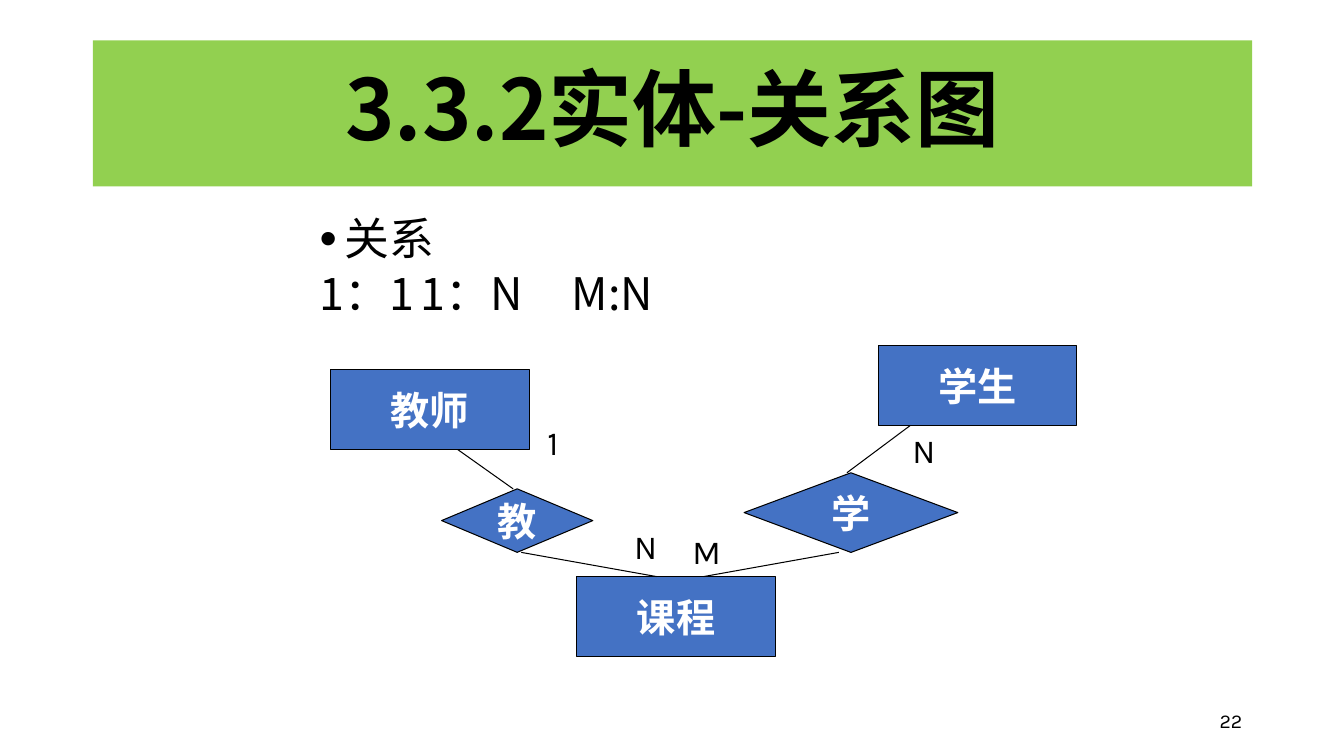
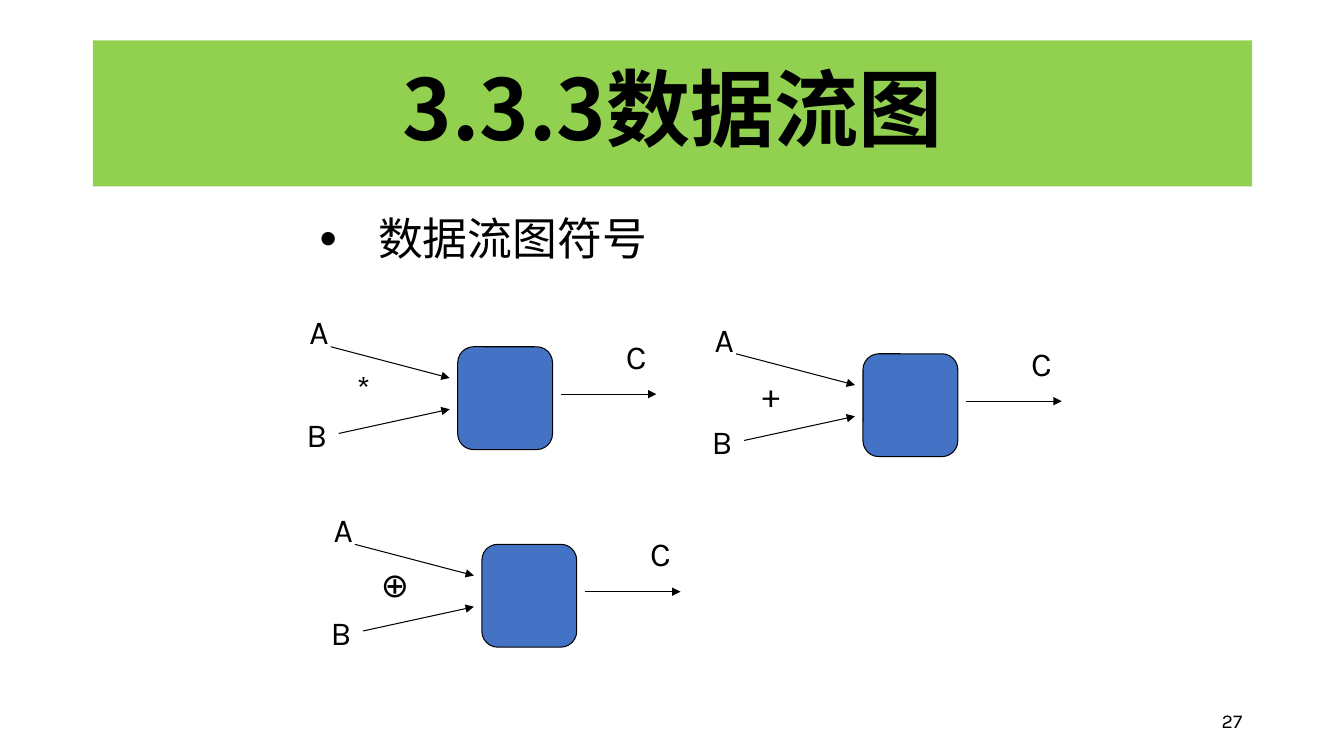
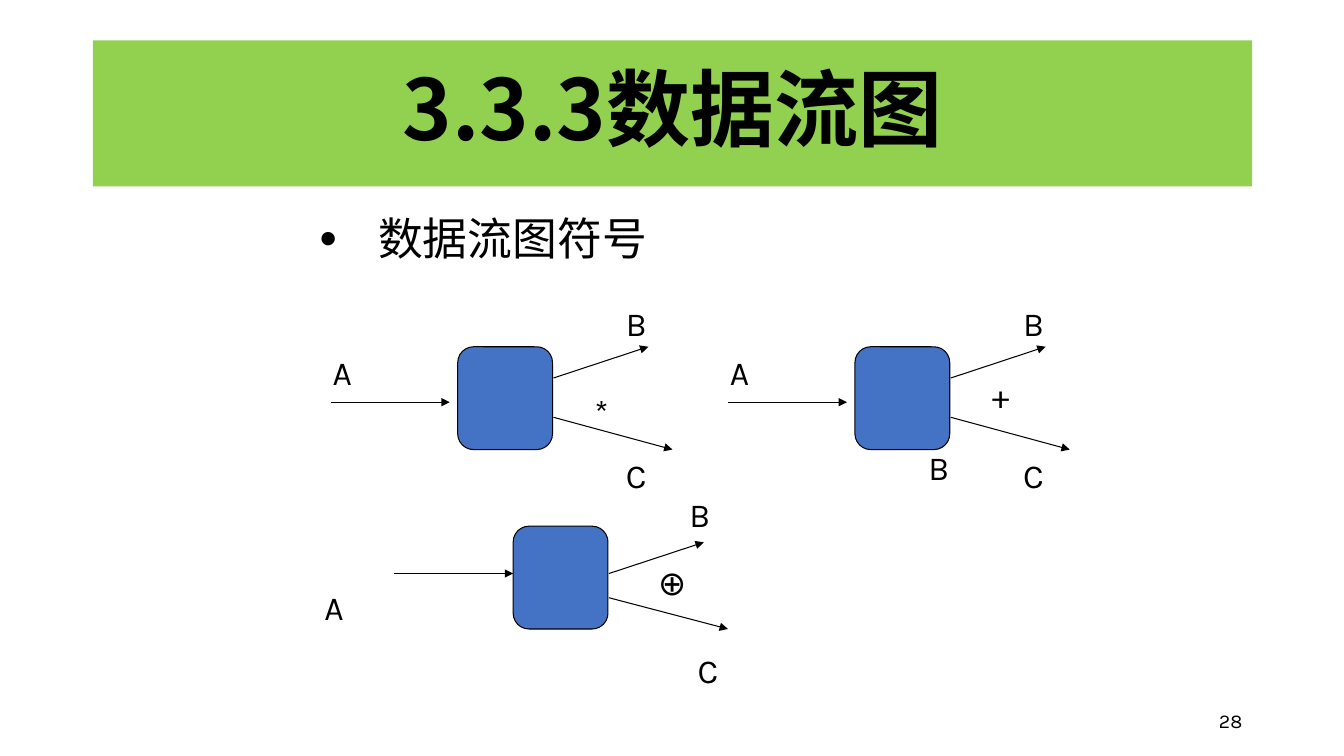
from dataclasses import dataclass, replace

from lxml.etree import SubElement
from pptx import Presentation
from pptx.dml.color import RGBColor
from pptx.enum.shapes import MSO_CONNECTOR, MSO_SHAPE
from pptx.enum.text import MSO_ANCHOR, MSO_AUTO_SIZE, PP_ALIGN
from pptx.oxml.ns import qn
from pptx.util import Inches, Pt


@dataclass(frozen=True)
class Theme:
    band: RGBColor = RGBColor(0x92, 0xD0, 0x50)
    node: RGBColor = RGBColor(0x44, 0x72, 0xC4)
    ink: RGBColor = RGBColor(0, 0, 0)
    paper: RGBColor = RGBColor(255, 255, 255)
    latin: str = "Karla"
    chinese: str = "Noto Sans CJK SC"
    title_size: int = 60
    body_size: int = 32
    node_size: int = 28
    label_size: int = 24
    number_size: int = 14
    line_width: float = 0.75


@dataclass(frozen=True)
class Gate:
    arrows: tuple
    labels: tuple
    sign: tuple


THEME = Theme()
GATE_SIZE = (0.94, 1.02)
NODE_SIZE = (1.97, 0.79)

MERGE = Gate(
    arrows=((-1.26, 0, -0.08, 0.31), (-1.18, 0.86, -0.08, 0.62), (1.02, 0.47, 1.97, 0.47)),
    labels=(("A", -1.57, -0.4), ("B", -1.6, 0.62), ("C", 1.57, -0.16)),
    sign=(-1.1, 0.15),
)
SPLIT = Gate(
    arrows=((-1.26, 0.55, -0.08, 0.55), (0.95, 0.7, 2.13, 1.02), (0.95, 0.31, 1.89, 0)),
    labels=(("A", -1.34, 0), ("B", 1.57, -0.48), ("C", 1.57, 1.02)),
    sign=(1.26, 0.39),
)
SPLIT_HIGH_SIGN = replace(SPLIT, sign=(1.26, 0.23))
SPLIT_LOW = Gate(
    arrows=((-1.18, 0.47, 0, 0.47), (0.95, 0.71, 2.13, 1.02), (0.95, 0.47, 1.89, 0.16)),
    labels=(("A", -1.97, 0.55), ("B", 1.65, -0.37), ("C", 1.73, 1.18)),
    sign=(1.34, 0.31),
)


def place(shape, left, top, width, height):
    shape.left, shape.top = Inches(left), Inches(top)
    shape.width, shape.height = Inches(width), Inches(height)


def add_span(para, text, size, color=THEME.ink, font=THEME.latin, bold=False):
    span = para.add_run()
    span.text = text
    span.font.size = Pt(size)
    span.font.name = font
    span.font.bold = bold
    span.font.color.rgb = color
    SubElement(span._r.get_or_add_rPr(), qn("a:ea"), typeface=THEME.chinese)


def add_text(page, text, left, top, width, height, size):
    box = page.shapes.add_textbox(Inches(left), Inches(top), Inches(width), Inches(height))
    box.text_frame.word_wrap = True
    add_span(box.text_frame.paragraphs[0], text, size)
    return box


def add_label(page, text, left, top):
    box = add_text(page, text, left, top, 0.47, 0.5, THEME.label_size)
    box.text_frame.auto_size = MSO_AUTO_SIZE.SHAPE_TO_FIT_TEXT


def add_node(page, kind, left, top, width, height, text=""):
    node = page.shapes.add_shape(kind, Inches(left), Inches(top), Inches(width), Inches(height))
    node.shadow.inherit = False
    node.fill.solid()
    node.fill.fore_color.rgb = THEME.node
    node.line.color.rgb = THEME.ink
    node.line.width = Pt(THEME.line_width)
    if text:
        frame = node.text_frame
        frame.word_wrap = False
        frame.vertical_anchor = MSO_ANCHOR.MIDDLE
        frame.paragraphs[0].alignment = PP_ALIGN.CENTER
        add_span(frame.paragraphs[0], text, THEME.node_size, THEME.paper, bold=True)
    return node


def add_line(page, start_x, start_y, end_x, end_y, arrow=False):
    line = page.shapes.add_connector(
        MSO_CONNECTOR.STRAIGHT, Inches(start_x), Inches(start_y), Inches(end_x), Inches(end_y)
    )
    line.line.color.rgb = THEME.ink
    line.line.width = Pt(THEME.line_width)
    if arrow:
        SubElement(line.line._get_or_add_ln(), qn("a:tailEnd"), type="triangle")
    SubElement(line._element.spPr, qn("a:effectLst"))


def add_gate(page, gate, left, top, sign):
    for start_x, start_y, end_x, end_y in gate.arrows:
        add_line(page, left + start_x, top + start_y, left + end_x, top + end_y, arrow=True)
    node = add_node(page, MSO_SHAPE.ROUNDED_RECTANGLE, left, top, *GATE_SIZE)
    node.adjustments[0] = 0.167
    for text, x, y in (*gate.labels, (sign, *gate.sign)):
        add_label(page, text, left + x, top + y)


def add_body_para(para, text, hanging=0, tabs=()):
    para.alignment = PP_ALIGN.JUSTIFY
    para.line_spacing = 0.9
    para.space_before = Pt(5)
    properties = para._p.get_or_add_pPr()
    properties.set("marL", str(Inches(hanging)))
    properties.set("indent", str(-Inches(hanging)))
    if hanging:
        SubElement(properties, qn("a:buSzPct"), val="110000")
        SubElement(properties, qn("a:buChar"), char="•")
    else:
        SubElement(properties, qn("a:buNone"))
    if tabs:
        stops = SubElement(properties, qn("a:tabLst"))
        for position in tabs:
            SubElement(stops, qn("a:tab"), pos=str(Inches(position)), algn="l")
    add_span(para, text, THEME.body_size, font=THEME.chinese)


def add_page(deck, heading, number, topic, hanging):
    page = deck.slides.add_slide(deck.slide_layouts[1])
    title, body = page.placeholders
    place(title, 0.92, 0.4, 11.5, 1.45)
    title.fill.solid()
    title.fill.fore_color.rgb = THEME.band
    title.text_frame.vertical_anchor = MSO_ANCHOR.MIDDLE
    para = title.text_frame.paragraphs[0]
    para.alignment = PP_ALIGN.CENTER
    para.line_spacing = 0.9
    add_span(para, heading, THEME.title_size, font=THEME.chinese, bold=True)

    place(body, 2.57, 2.1, 8.5, 4.5)
    body.text_frame.margin_left = Inches(0.6)
    body.text_frame.auto_size = MSO_AUTO_SIZE.NONE
    add_body_para(body.text_frame.paragraphs[0], topic, hanging)

    footer = add_text(page, number, 9.42, 6.95, 3, 0.4, THEME.number_size)
    footer.text_frame.vertical_anchor = MSO_ANCHOR.MIDDLE
    footer.text_frame.paragraphs[0].alignment = PP_ALIGN.RIGHT
    return page, body


def add_relation_page(deck):
    page, body = add_page(deck, "3.3.2实体-关系图", "22", "关系", 0.25)
    add_body_para(body.text_frame.add_paragraph(), "1：1\t1：N\tM:N", tabs=(1.86, 3.65))
    for text, left, top in (("教师", 3.28, 3.67), ("学生", 8.71, 3.43), ("课程", 5.72, 5.72)):
        add_node(page, MSO_SHAPE.RECTANGLE, left, top, *NODE_SIZE, text)
    for text, *bounds in (("教", 4.38, 4.85, 1.5, 0.63), ("学", 7.38, 4.69, 2.12, 0.79)):
        add_node(page, MSO_SHAPE.FLOWCHART_DECISION, *bounds, text)
    for ends in (
        (4.54, 4.46, 5.09, 4.85),
        (8.4, 4.69, 9.03, 4.22),
        (5.17, 5.48, 6.51, 5.72),
        (6.98, 5.72, 8.32, 5.48),
    ):
        add_line(page, *ends)
    for label in (("1", 5.33, 4.14), ("N", 6.19, 5.17), ("N", 8.95, 4.22), ("M", 6.77, 5.22)):
        add_label(page, *label)


def add_flow_page(deck, number, gates):
    page, _ = add_page(deck, "3.3.3数据流图", number, "数据流图符号", 0.58)
    for gate in gates:
        add_gate(page, *gate)
    return page


def main():
    deck = Presentation()
    deck.slide_width, deck.slide_height = Inches(13.33), Inches(7.5)
    add_relation_page(deck)
    add_flow_page(
        deck, "27", ((MERGE, 4.54, 3.44, "*"), (MERGE, 8.56, 3.51, "+"), (MERGE, 4.78, 5.4, "⊕"))
    )
    split_page = add_flow_page(
        deck,
        "28",
        (
            (SPLIT, 4.54, 3.44, "*"),
            (SPLIT_HIGH_SIGN, 8.48, 3.44, "+"),
            (SPLIT_LOW, 5.09, 5.22, "⊕"),
        ),
    )
    add_label(split_page, "B", 9.11, 4.38)
    deck.save("out.pptx")


if __name__ == "__main__":
    main()
